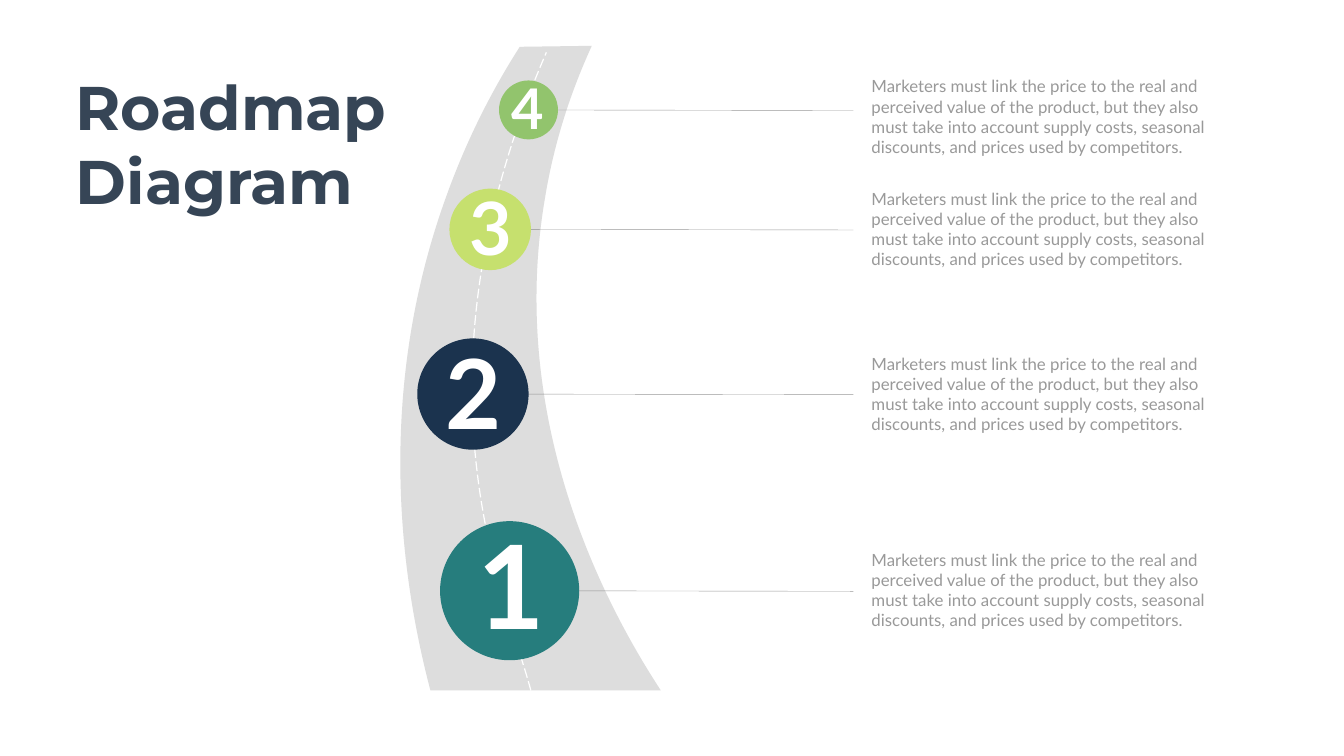
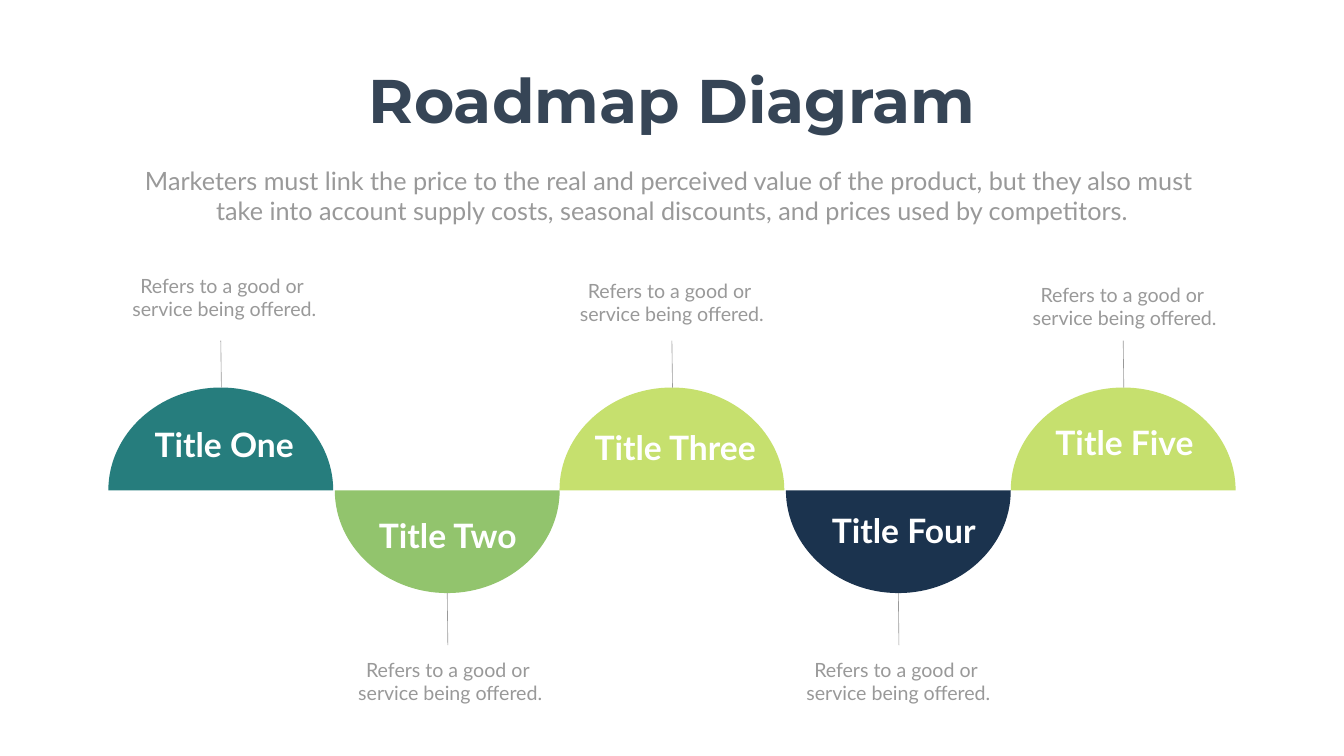
from dataclasses import dataclass
from typing import NamedTuple

from lxml.etree import SubElement
from pptx import Presentation
from pptx.dml.color import RGBColor
from pptx.enum.dml import MSO_LINE
from pptx.enum.shapes import MSO_CONNECTOR, MSO_SHAPE
from pptx.enum.text import MSO_AUTO_SIZE, PP_ALIGN
from pptx.oxml.ns import qn
from pptx.util import Cm, Pt

WHITE = RGBColor(0xFF, 0xFF, 0xFF)
GREY = RGBColor(0x99, 0x99, 0x99)
ASPHALT = RGBColor(0x79, 0x79, 0x79)
SLATE = RGBColor(0x36, 0x45, 0x56)
TEAL = RGBColor(0x26, 0x7D, 0x7D)
NAVY = RGBColor(0x1B, 0x33, 0x4E)
LIME = RGBColor(0xC6, 0xE0, 0x6E)
GREEN = RGBColor(0x92, 0xC4, 0x6D)

PRICE_TEXT = (
    "Marketers must link the price to the real and perceived value of the product, "
    "but they also must take into account supply costs, seasonal discounts, "
    "and prices used by competitors."
)
SUBTITLE = [
    "Marketers must link the price to the real and perceived value of the product, but they also must ",
    "take into account supply costs, seasonal discounts, and prices used by competitors.",
]
NOTE = ["Refers to a good or ", "service being offered."]

LEADER_END, LEADER_SLANT = 43.0, 0.03
ARCH_BASE, ARCH_WIDTH, ARCH_HEIGHT = 24.71, 11.33, 5.18
LEADER_TOP, LEADER_BOTTOM = 17.17, 32.51
KAPPA = 0.55


class Point(NamedTuple):
    x: float
    y: float


class Box(NamedTuple):
    left: float
    top: float
    width: float
    height: float


class Outline(NamedTuple):
    start: Point
    segments: list[list[Point]]


@dataclass(frozen=True)
class Style:
    size: float
    color: RGBColor
    font: str = "Lato"
    bold: bool = False


@dataclass(frozen=True)
class Milestone:
    number: str
    center: Point
    diameter: float
    color: RGBColor
    size: float
    number_box: Box
    leader_start: float
    text_top: float


@dataclass(frozen=True)
class Stage:
    title: str
    color: RGBColor
    left: float
    direction: int
    title_box: Box
    note_left: float
    note_top: float

    @property
    def center(self) -> float:
        """Return the middle of the arch."""
        return self.left + ARCH_WIDTH / 2

    @property
    def tip(self) -> float:
        """Return the height of the top of the arch."""
        return ARCH_BASE + self.direction * ARCH_HEIGHT


TITLE = Style(88, SLATE, "Montserrat", True)
BODY = Style(24, GREY)
LEAD = Style(36, GREY)
CAPTION = Style(28, GREY)
STAGE_TITLE = Style(48, WHITE, bold=True)

MILESTONES = [
    Milestone("4", Point(26.63, 5.54), 2.97, GREEN, 80, Box(25.5, 3.56, 2.16, 3.68), 26.49, 3.71),
    Milestone("3", Point(24.7, 11.56), 4.11, LIME, 105, Box(23.42, 9.07, 2.69, 4.75), 25.12, 9.37),
    Milestone("2", Point(23.83, 19.86), 5.61, NAVY, 138, Box(22.2, 16.66, 3.35, 6.15), 25.12, 17.68),
    Milestone("1", Point(25.68, 29.77), 7.01, TEAL, 166, Box(23.83, 25.73, 3.94, 7.34), 24.84, 27.56),
]
STAGES = [
    Stage("Title One", TEAL, 5.46, -1, Box(7.49, 21.26, 7.62, 2.31), 5.97, 13.67),
    Stage("Title Two", GREEN, 16.87, 1, Box(18.69, 25.83, 7.75, 2.31), 17.35, 33.02),
    Stage("Title Three", LIME, 28.19, -1, Box(29.62, 21.41, 8.81, 2.31), 28.52, 13.92),
    Stage("Title Four", NAVY, 39.6, 1, Box(41.58, 25.58, 7.92, 2.31), 39.93, 33.02),
    Stage("Title Five", LIME, 50.93, -1, Box(52.88, 21.13, 7.57, 2.31), 51.33, 14.12),
]

ROAD = Outline(Point(33.3, 34.8), [
    [Point(21.69, 34.8)],
    [Point(20.4, 29.9), Point(18.69, 20.27), Point(22.53, 9.78)],
    [Point(23.57, 6.91), Point(24.87, 4.42), Point(26.19, 2.36)],
    [Point(29.82, 2.31)],
    [Point(28.83, 4.47), Point(27.94, 7.04), Point(27.46, 9.98)],
    [Point(25.45, 21.77), Point(31.06, 31.37), Point(33.3, 34.8)],
])
LANE = Outline(Point(26.75, 34.8), [
    [Point(25.45, 29.9), Point(20.37, 19.25), Point(27.53, 2.64)],
])


def arch(stage: Stage) -> Outline:
    """Outline half an ellipse standing on or hanging from the base line."""
    cx, tip, rx = stage.center, stage.tip, ARCH_WIDTH / 2
    shoulder = ARCH_BASE + KAPPA * (tip - ARCH_BASE)
    return Outline(Point(cx + rx, ARCH_BASE), [
        [Point(cx + rx, shoulder), Point(cx + KAPPA * rx, tip), Point(cx, tip)],
        [Point(cx - KAPPA * rx, tip), Point(cx - rx, shoulder), Point(cx - rx, ARCH_BASE)],
    ])


def paint(sp, color: RGBColor) -> None:
    """Give a shape a plain fill without line or shadow."""
    sp.fill.solid()
    sp.fill.fore_color.rgb = color
    sp.line.fill.background()
    sp.shadow.inherit = False


def add_outline(s, outline: Outline, close: bool = True):
    """Draw a freeform whose three-point segments are cubic curves."""
    builder = s.shapes.build_freeform(Cm(outline.start.x), Cm(outline.start.y))
    points = [(Cm(p.x), Cm(p.y)) for segment in outline.segments for p in segment]
    builder.add_line_segments(points, close=False)
    sp = builder.convert_to_shape()
    path = next(sp._element.iter(qn("a:path")))
    steps = iter(path.findall(qn("a:lnTo")))
    for segment in outline.segments:
        first, *others = [next(steps) for _ in segment]
        if others:
            first.tag = qn("a:cubicBezTo")
        for step in others:
            first.extend(list(step))
            path.remove(step)
    if close:
        SubElement(path, qn("a:close"))
    return sp


def add_line(s, start: Point, end: Point, width: float) -> None:
    """Draw a thin grey leader line."""
    line = s.shapes.add_connector(
        MSO_CONNECTOR.STRAIGHT, Cm(start.x), Cm(start.y), Cm(end.x), Cm(end.y)
    )
    line.line.color.rgb = GREY
    line.line.width = Pt(width)
    SubElement(line._element.spPr, qn("a:effectLst"))


def add_text(s, box: Box, lines: list[str], style: Style,
             align: PP_ALIGN = PP_ALIGN.LEFT, wrap: bool = True) -> None:
    """Add a text box with one paragraph for each line."""
    tf = s.shapes.add_textbox(*(Cm(v) for v in box)).text_frame
    tf.word_wrap = wrap
    tf.auto_size = MSO_AUTO_SIZE.SHAPE_TO_FIT_TEXT
    tf.text = "\n".join(lines)
    for p in tf.paragraphs:
        p.alignment = align
        p.font.name = style.font
        p.font.size = Pt(style.size)
        p.font.bold = style.bold
        p.font.color.rgb = style.color


def add_road(s) -> None:
    """Draw the translucent road and its dashed lane."""
    road = add_outline(s, ROAD)
    paint(road, ASPHALT)
    color = road._element.spPr.find(qn("a:solidFill")).find(qn("a:srgbClr"))
    SubElement(color, qn("a:alpha"), val="25000")

    lane = add_outline(s, LANE, close=False)
    lane.fill.background()
    lane.line.color.rgb = WHITE
    lane.line.width = Pt(1.73)
    lane.line.dash_style = MSO_LINE.LONG_DASH
    lane.shadow.inherit = False


def add_circle(s, m: Milestone) -> None:
    """Draw the disc of a milestone."""
    left, top = (v - m.diameter / 2 for v in m.center)
    circle = s.shapes.add_shape(
        MSO_SHAPE.OVAL, Cm(left), Cm(top), Cm(m.diameter), Cm(m.diameter)
    )
    paint(circle, m.color)


def build_road_slide(s) -> None:
    """Build the winding road with four milestones."""
    for m in MILESTONES:
        end = Point(LEADER_END, m.center.y + LEADER_SLANT)
        add_line(s, Point(m.leader_start, m.center.y), end, 0.57)
    add_road(s)
    for m in reversed(MILESTONES):
        add_circle(s, m)
    add_text(s, Box(3.56, 3.33, 16.23, 7.77), ["Roadmap", "Diagram"], TITLE, wrap=False)
    for m in MILESTONES:
        add_text(s, Box(43.66, m.text_top, 18.24, 4.37), [PRICE_TEXT], BODY)
    for m in reversed(MILESTONES):
        add_text(s, m.number_box, [m.number], Style(m.size, WHITE, bold=True), wrap=False)


def build_wave_slide(s) -> None:
    """Build the wave of five stages."""
    center = PP_ALIGN.CENTER
    for stage in STAGES:
        paint(add_outline(s, arch(stage)), stage.color)
    for stage in STAGES:
        ends = (stage.tip, LEADER_BOTTOM) if stage.direction > 0 else (LEADER_TOP, stage.tip)
        add_line(s, Point(stage.center, ends[0]), Point(stage.center + LEADER_SLANT, ends[1]), 0.88)
    add_text(s, Box(3.38, 8.2, 60.96, 3.33), SUBTITLE, LEAD, center)
    add_text(s, Box(18.26, 3.02, 31.19, 4.01), ["Roadmap Diagram"], TITLE, center, wrap=False)
    for stage in STAGES:
        add_text(s, stage.title_box, [stage.title], STAGE_TITLE, center, wrap=False)
    for stage in STAGES:
        add_text(s, Box(stage.note_left, stage.note_top, 10.67, 2.64), NOTE, CAPTION, center)


def main() -> None:
    """Create and save the presentation."""
    prs = Presentation()
    prs.slide_width, prs.slide_height = Cm(67.72), Cm(38.1)
    for build in (build_road_slide, build_wave_slide):
        build(prs.slides.add_slide(prs.slide_layouts[6]))
    prs.save("out.pptx")


if __name__ == "__main__":
    main()
